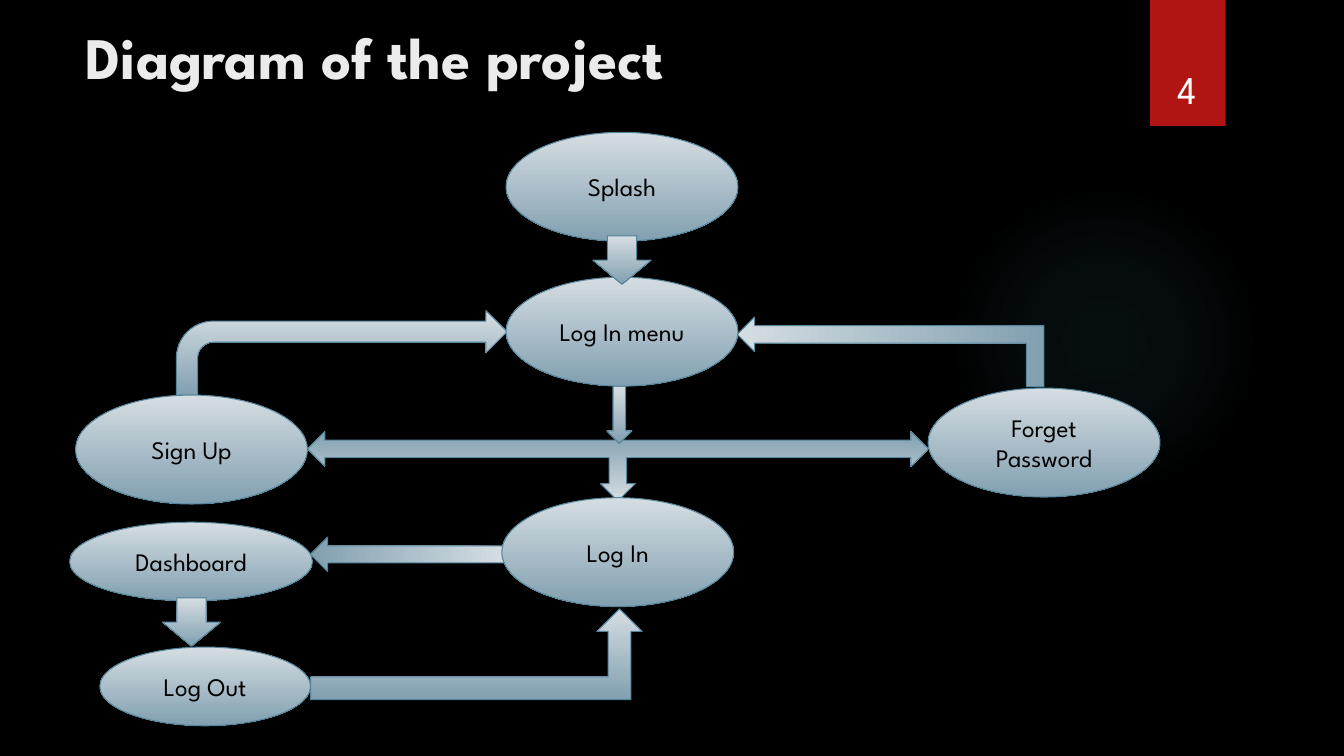
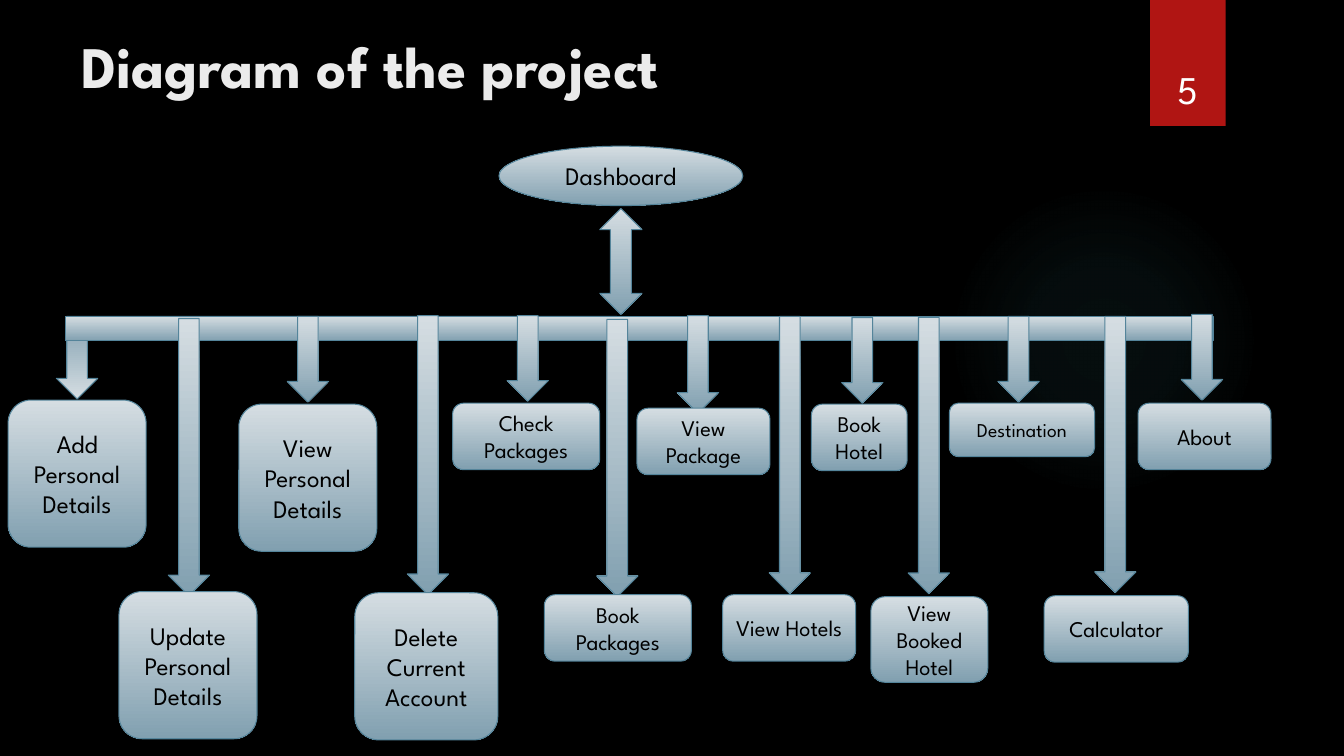
import pptx
import pptx.dml.color
import pptx.enum.shapes
import pptx.enum.text
import pptx.oxml
import pptx.oxml.ns
import pptx.util

Pt = pptx.util.Pt
SHAPES = pptx.enum.shapes.MSO_SHAPE
ALIGN = pptx.enum.text.PP_ALIGN
ANCHOR = pptx.enum.text.MSO_ANCHOR

FONT = "League Spartan"
BLACK, WHITE, TITLE_COLOR = "000000", "FFFFFF", "EBEBEB"
RED, GLOW = "B01513", "50B9C1"
STEEL_LIGHT, STEEL_DARK, STEEL_LINE = "D5DDE2", "81A0B0", "54849A"
BRANCH_ARROW_WIDTH = 29.5

# Login flow ellipses: label, left, top, width, height
LOGIN_STEPS = [
    ("Splash", 361.5, 94.5, 165.6, 77.8),
    ("Log In menu", 361.5, 198, 165.6, 77.8),
    ("Forget Password", 663, 277.2, 165.6, 77.8),
    ("Sign Up", 54, 282.2, 165.6, 77.8),
    ("Log In", 358.5, 355.5, 165.6, 77.8),
    ("Dashboard", 49.7, 373, 173.5, 56.2),
    ("Log Out", 71.3, 462.2, 150.5, 56.2),
]

# Login flow arrows: preset, left, top, width, height, rotation
ARROWS_BEHIND = [
    (SHAPES.DOWN_ARROW, 278.6, 326.9, 24.5, 138.2, 90),
    (SHAPES.LEFT_RIGHT_UP_ARROW, 219.6, 308.2, 443.5, 49.7, 180),
    (SHAPES.DOWN_ARROW, 433.4, 275.8, 18, 41, 0),
    (SHAPES.BENT_UP_ARROW, 611.3, 141.8, 49.7, 218.9, 270),
    (SHAPES.BENT_ARROW, 126, 221.8, 236.2, 60.5, 0),
    (SHAPES.BENT_UP_ARROW, 221.8, 434.9, 236.9, 64.8, 0),
]
ARROWS_IN_FRONT = [
    (SHAPES.DOWN_ARROW, 423.4, 168.5, 41.8, 34.6, 0),
    (SHAPES.DOWN_ARROW, 115.9, 427, 41.8, 34.6, 0),
]

# Dashboard boxes: label, text size, left, top, width, height
DASHBOARD_BOXES = [
    ("Add Personal\nDetails", 18, 5.8, 285.8, 98.6, 105.1),
    ("Update Personal\nDetails", 18, 85, 422.6, 98.6, 105.1),
    ("View Personal\nDetails", 18, 170.6, 288.7, 98.6, 105.1),
    ("Delete Current Account", 18, 253.4, 423.4, 102.2, 105.1),
    ("Check Packages", 16, 323.3, 288, 105.1, 47.5),
    ("Book Packages", 16, 388.8, 424.8, 105.1, 47.5),
    ("View Package", 16, 455, 291.6, 95, 47.5),
    ("View Hotels", 16, 516.2, 424.8, 95, 47.5),
    ("Book Hotel", 16, 579.6, 288.7, 68.4, 47.5),
    ("View Booked Hotel", 16, 622.1, 426.2, 83.5, 61.2),
    ("Destination", 14, 678.2, 288, 103.7, 38.2),
    ("Calculator", 16, 745.9, 425.5, 103, 47.5),
    ("About", 16, 812.9, 288, 95, 47.5),
]

# Arrows hanging from the bar, second box onward: left, top, height
BRANCH_ARROWS = [
    (120.2, 227.5, 198), (205.2, 226, 61.2), (290.9, 225.4, 199.4),
    (362.2, 225.4, 61.2), (426.2, 228.2, 198), (483.8, 225.4, 69.8),
    (549.4, 226, 198), (601.2, 226.8, 61.2), (648.7, 226.8, 197.3),
    (712.8, 226, 61.2), (781.9, 226, 197.3), (843.8, 224.6, 61.2),
]


def rgb(value):
    return pptx.dml.color.RGBColor.from_string(value)


def write_text(shape, text, size=18, color=BLACK, bold=False,
               align=ALIGN.CENTER, anchor=ANCHOR.MIDDLE):
    frame = shape.text_frame
    frame.word_wrap = True
    frame.vertical_anchor = anchor
    frame.text = text
    for paragraph in frame.paragraphs:
        paragraph.alignment = align
        for run in paragraph.runs:
            run.font.name = FONT
            run.font.size = Pt(size)
            run.font.bold = bold
            run.font.color.rgb = rgb(color)


def add_text_box(slide, text, left, top, width, height, **text_format):
    box = slide.shapes.add_textbox(Pt(left), Pt(top), Pt(width), Pt(height))
    write_text(box, text, **text_format)


def add_plain_shape(slide, preset, left, top, width, height):
    shape = slide.shapes.add_shape(preset, Pt(left), Pt(top), Pt(width), Pt(height))
    shape.shadow.inherit = False
    shape.line.fill.background()
    return shape


def add_steel_shape(slide, preset, left, top, width, height,
                    rotation=0, text=None, **text_format):
    shape = add_plain_shape(slide, preset, left, top, width, height)
    shape.rotation = rotation
    shape.fill.gradient()
    shape.fill.gradient_angle = 270
    for stop, color in zip(shape.fill.gradient_stops, (STEEL_LIGHT, STEEL_DARK)):
        stop.color.rgb = rgb(color)
    shape.line.color.rgb = rgb(STEEL_LINE)
    shape.line.width = Pt(0.75)
    if text:
        write_text(shape, text, **text_format)


def add_glow(slide):
    glow = add_plain_shape(slide, SHAPES.OVAL, 677.5, 131.8, 221.8, 221.8)
    # Radial gradient with transparent stops
    stops = "".join(
        f'<a:gs pos="{position}000"><a:srgbClr val="{GLOW}">'
        f'<a:alpha val="{alpha}000"/></a:srgbClr></a:gs>'
        for position, alpha in ((0, 7), (36, 6), (69, 0)))
    gradient = pptx.oxml.parse_xml(
        f'<a:gradFill {pptx.oxml.ns.nsdecls("a")} rotWithShape="1">'
        f'<a:gsLst>{stops}</a:gsLst><a:path path="circle">'
        '<a:fillToRect l="50000" t="50000" r="50000" b="50000"/>'
        '</a:path></a:gradFill>')
    glow.fill.background()
    properties = glow.element.spPr
    no_fill = properties.find(pptx.oxml.ns.qn("a:noFill"))
    properties.replace(no_fill, gradient)


def add_base_slide(presentation, number, title_left, title_top):
    slide = presentation.slides.add_slide(presentation.slide_layouts[6])
    background = slide.background.fill
    background.solid()
    background.fore_color.rgb = rgb(BLACK)
    add_glow(slide)
    band = add_plain_shape(slide, SHAPES.RECTANGLE, 821.5, 0, 54, 90)
    band.fill.solid()
    band.fill.fore_color.rgb = rgb(RED)
    add_text_box(slide, "Diagram of the project", title_left, title_top, 672, 68.4,
                 size=42, color=TITLE_COLOR, bold=True,
                 align=ALIGN.LEFT, anchor=ANCHOR.TOP)
    add_text_box(slide, str(number), 815, 23, 66.2, 60.5,
                 size=28, color=WHITE, anchor=ANCHOR.BOTTOM)
    return slide


def build_login_slide(presentation):
    slide = add_base_slide(presentation, 4, 54, 11.5)
    for arrow in ARROWS_BEHIND:
        add_steel_shape(slide, *arrow)
    for label, *bounds in LOGIN_STEPS:
        add_steel_shape(slide, SHAPES.OVAL, *bounds, text=label)
    for arrow in ARROWS_IN_FRONT:
        add_steel_shape(slide, *arrow)


def build_dashboard_slide(presentation):
    slide = add_base_slide(presentation, 5, 51, 18)
    add_steel_shape(slide, SHAPES.OVAL, 356.4, 104.4, 174.2, 42.5, text="Dashboard")
    # Bar with its left bend, then the branches
    add_steel_shape(slide, SHAPES.BENT_UP_ARROW, 40.3, 226, 400.3, 59, rotation=180)
    add_steel_shape(slide, SHAPES.RECTANGLE, 46.8, 226, 820, 17.5)
    for left, top, height in BRANCH_ARROWS:
        add_steel_shape(slide, SHAPES.DOWN_ARROW, left, top, BRANCH_ARROW_WIDTH, height)
    for label, size, *bounds in DASHBOARD_BOXES:
        add_steel_shape(slide, SHAPES.ROUNDED_RECTANGLE, *bounds, text=label, size=size)
    add_steel_shape(slide, SHAPES.UP_DOWN_ARROW, 428.4, 149, 30.2, 75.6)


def main():
    presentation = pptx.Presentation()
    presentation.slide_width = Pt(960)
    presentation.slide_height = Pt(540)
    build_login_slide(presentation)
    build_dashboard_slide(presentation)
    presentation.save("out.pptx")


if __name__ == "__main__":
    main()
